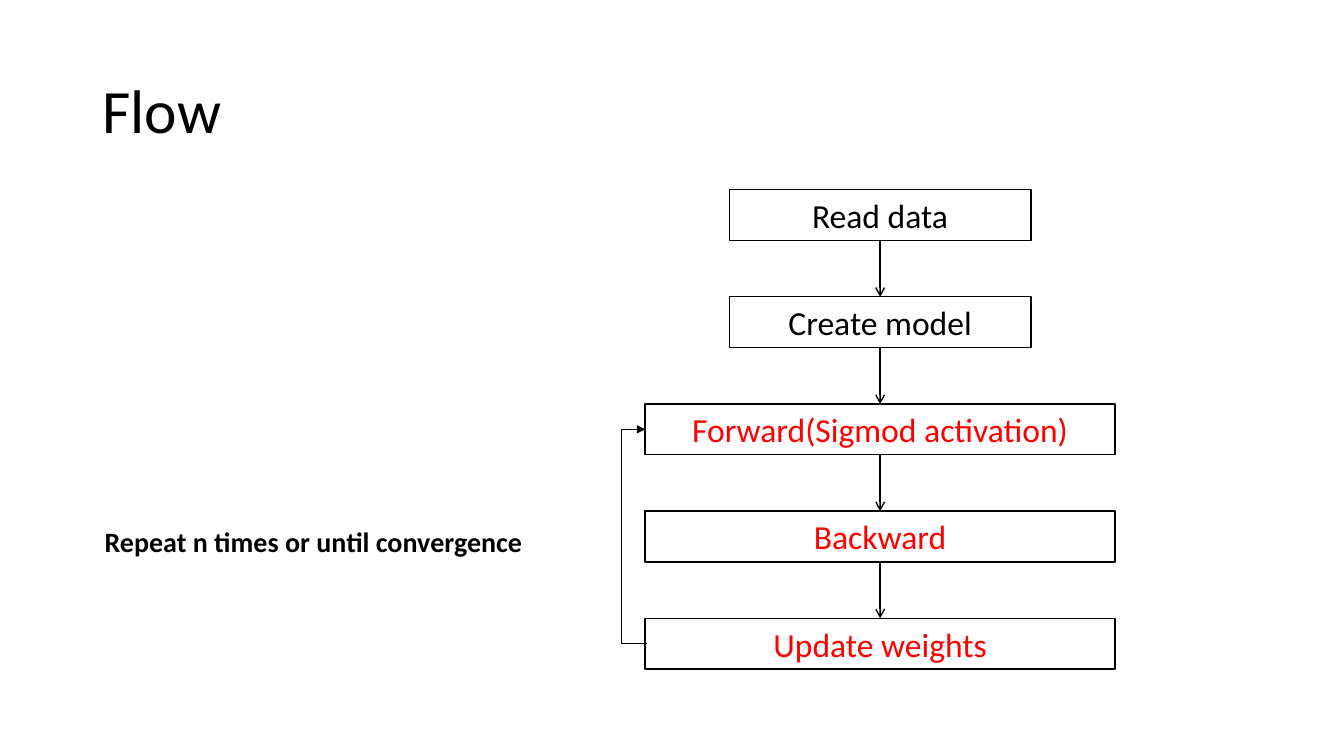
"""Build the training flow slide: five steps with a repeat loop."""
from dataclasses import dataclass

from pptx import Presentation
from pptx.dml.color import RGBColor
from pptx.enum import shapes, text
from pptx.oxml import ns
from pptx.util import Cm, Pt
from lxml import etree


@dataclass(frozen=True)
class Theme:
    font: str = "Calibri"
    ink: RGBColor = RGBColor(0, 0, 0)
    accent: RGBColor = RGBColor(255, 0, 0)
    paper: RGBColor = RGBColor(255, 255, 255)
    title_size: Pt = Pt(44)
    step_size: Pt = Pt(24)
    note_size: Pt = Pt(20)
    line_width: Pt = Pt(1)


@dataclass(frozen=True)
class Step:
    label: str
    width: Cm
    color: RGBColor


THEME = Theme()
NARROW, WIDE = Cm(7.6), Cm(11.84)
STEPS = [
    Step("Read data", NARROW, THEME.ink),
    Step("Create model", NARROW, THEME.ink),
    Step("Forward(Sigmod activation)", WIDE, THEME.accent),
    Step("Backward", WIDE, THEME.accent),
    Step("Update weights", WIDE, THEME.accent),
]
CENTER, FIRST_TOP = Cm(22.18), Cm(4.78)
STEP_HEIGHT, PITCH = Cm(1.28), Cm(2.7)
LOOP_REACH, LOOP_INSET = Cm(0.6), Cm(0.04)


def write(frame, words: str, size: Pt, color: RGBColor, align, bold=False) -> None:
    """Fill a text frame with one formatted paragraph."""
    frame.word_wrap = True
    para = frame.paragraphs[0]
    para.text = words
    para.alignment = align
    para.font.name = THEME.font
    para.font.size = size
    para.font.bold = bold
    para.font.color.rgb = color


def add_step(page, step: Step, row: int):
    """Draw one outlined step box, centred on the flow axis."""
    box = page.shapes.add_shape(
        shapes.MSO_SHAPE.RECTANGLE, CENTER - step.width // 2,
        FIRST_TOP + row * PITCH, step.width, STEP_HEIGHT)
    box.shadow.inherit = False
    box.fill.solid()
    box.fill.fore_color.rgb = THEME.paper
    box.line.color.rgb = THEME.ink
    box.line.width = THEME.line_width
    write(box.text_frame, step.label, THEME.step_size, step.color,
          text.PP_ALIGN.CENTER)
    return box


def style_arrow(arrow, head: str) -> None:
    """Give a connector its line, arrowhead and no shadow."""
    arrow.line.color.rgb = THEME.ink
    arrow.line.width = THEME.line_width
    etree.SubElement(arrow.line._get_or_add_ln(), ns.qn("a:tailEnd"), type=head)
    etree.SubElement(arrow._element.spPr, ns.qn("a:effectLst"))


def add_arrow(page, upper, lower) -> None:
    """Join two consecutive steps with a downward arrow."""
    arrow = page.shapes.add_connector(shapes.MSO_CONNECTOR.STRAIGHT, 0, 0, 0, 0)
    arrow.begin_connect(upper, 2)
    arrow.end_connect(lower, 0)
    style_arrow(arrow, "arrow")


def add_loop(page, last, first) -> None:
    """Lead from the last step back to the first one, around the left."""
    middle = STEP_HEIGHT // 2
    loop = page.shapes.add_connector(
        shapes.MSO_CONNECTOR.ELBOW, last.left + LOOP_INSET, last.top + middle,
        first.left, first.top + middle)
    bend = round((LOOP_REACH + LOOP_INSET) / LOOP_INSET * 100000)
    guides = loop._element.spPr.prstGeom.get_or_add_avLst()
    etree.SubElement(guides, ns.qn("a:gd"), name="adj1", fmla=f"val {bend}")
    style_arrow(loop, "triangle")


def main() -> None:
    """Build and save the deck."""
    deck = Presentation()
    deck.slide_width, deck.slide_height = Cm(33.87), Cm(19.05)
    page = deck.slides.add_slide(deck.slide_layouts[5])

    title = page.shapes.title
    title.left, title.top, title.width, title.height = (
        Cm(2.33), Cm(1.01), Cm(29.21), Cm(3.68))
    write(title.text_frame, "Flow", THEME.title_size, THEME.ink, text.PP_ALIGN.LEFT)
    title.text_frame.vertical_anchor = text.MSO_ANCHOR.MIDDLE
    title.text_frame.paragraphs[0].line_spacing = 0.9

    boxes = [add_step(page, step, row) for row, step in enumerate(STEPS)]
    for upper, lower in zip(boxes, boxes[1:]):
        add_arrow(page, upper, lower)
    add_loop(page, boxes[4], boxes[2])

    note = page.shapes.add_textbox(Cm(1.93), Cm(13.08), Cm(11.94), Cm(1.11))
    write(note.text_frame, "Repeat n times or until convergence",
          THEME.note_size, THEME.ink, text.PP_ALIGN.CENTER, bold=True)

    deck.save("out.pptx")


main()
